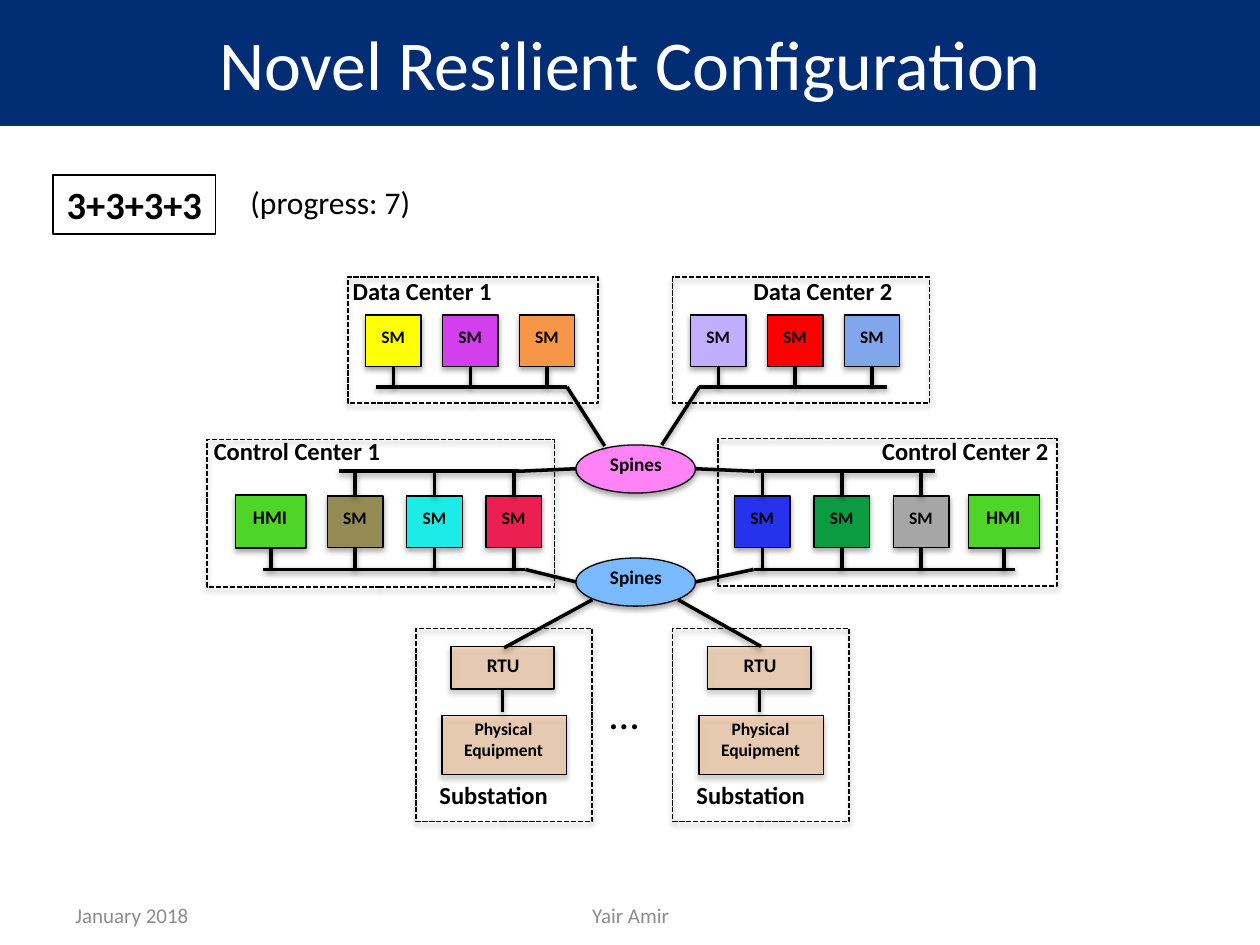
from lxml import etree
from pptx import Presentation
from pptx.dml.color import RGBColor
from pptx.enum.dml import MSO_LINE
from pptx.enum.shapes import MSO_CONNECTOR, MSO_SHAPE
from pptx.enum.text import MSO_ANCHOR, PP_ALIGN
from pptx.oxml import parse_xml
from pptx.oxml.ns import qn
from pptx.util import Cm, Pt

NAVY = RGBColor(0x00, 0x2D, 0x73)
WHITE = RGBColor(0xFF, 0xFF, 0xFF)
BLACK = RGBColor(0x00, 0x00, 0x00)
GRAY = RGBColor(0x8C, 0x8C, 0x8C)
TAN = RGBColor(0xFA, 0xC0, 0x90)
HMI_GREEN = RGBColor(0x4F, 0xD5, 0x28)
SPINES_PINK = RGBColor(0xFF, 0x83, 0xF7)
SPINES_BLUE = RGBColor(0x79, 0xBA, 0xFF)
YELLOW = RGBColor(0xFF, 0xFF, 0x00)
PURPLE = RGBColor(0xD3, 0x3F, 0xEC)
ORANGE = RGBColor(0xF7, 0x96, 0x46)
LILAC = RGBColor(0xC2, 0xAE, 0xFF)
RED = RGBColor(0xFF, 0x00, 0x00)
SKY = RGBColor(0x82, 0xA6, 0xEC)
OLIVE = RGBColor(0x94, 0x8A, 0x54)
CYAN = RGBColor(0x1B, 0xEC, 0xE8)
CRIMSON = RGBColor(0xEC, 0x1F, 0x52)
BLUE = RGBColor(0x25, 0x33, 0xEC)
GREEN = RGBColor(0x0B, 0x9C, 0x42)
SILVER = RGBColor(0xA6, 0xA6, 0xA6)

FONT = "Calibri"
LEFT, CENTER, RIGHT = PP_ALIGN.LEFT, PP_ALIGN.CENTER, PP_ALIGN.RIGHT
A_NS = "http://schemas.openxmlformats.org/drawingml/2006/main"
SM_W, SM_H = 1.12, 1.04
HMI_W, HMI_H = 1.42, 1.07
SPINES_X, SPINES_W, SPINES_H = 11.61, 2.41, 0.97


def cm(*values):
    return [Cm(v) for v in values]


def add_shadow(s, dist, alpha):
    """Drop a soft black shadow straight down; alpha is in percent."""
    s._element.spPr.append(parse_xml(
        f'<a:effectLst xmlns:a="{A_NS}"><a:outerShdw blurRad="40000" dist="{dist}" '
        f'dir="5400000" rotWithShape="0"><a:srgbClr val="000000">'
        f'<a:alpha val="{alpha * 1000}"/></a:srgbClr></a:outerShdw></a:effectLst>'))


def format_text(tf, text, size, color=BLACK, bold=False, align=LEFT):
    tf.text = text
    for p in tf.paragraphs:
        p.alignment = align
        for r in p.runs:
            r.font.name, r.font.size = FONT, Pt(size)
            r.font.bold, r.font.color.rgb = bold, color


def add_label(slide, box, text, size, color=BLACK, bold=True, align=CENTER,
              wrap=True, anchor=MSO_ANCHOR.TOP):
    tb = slide.shapes.add_textbox(*cm(*box))
    tf = tb.text_frame
    tf.word_wrap, tf.vertical_anchor = wrap, anchor
    format_text(tf, text, size, color, bold, align)
    return tb


def add_box(slide, box, fill, alpha=None, kind=MSO_SHAPE.RECTANGLE):
    sp = slide.shapes.add_shape(kind, *cm(*box))
    sp.fill.solid()
    sp.fill.fore_color.rgb = fill
    if alpha:
        clr = sp._element.spPr.find(qn("a:solidFill"))[0]
        etree.SubElement(clr, qn("a:alpha")).set("val", str(alpha * 1000))
    sp.line.color.rgb, sp.line.width = BLACK, Pt(0.75)
    add_shadow(sp, 23000, 35)


def add_frame(slide, box):
    sp = slide.shapes.add_shape(MSO_SHAPE.RECTANGLE, *cm(*box))
    sp.fill.background()
    sp.line.color.rgb, sp.line.width = BLACK, Pt(1)
    sp.line.dash_style = MSO_LINE.SQUARE_DOT
    add_shadow(sp, 23000, 35)


def add_wire(slide, x1, y1, x2, y2):
    c = slide.shapes.add_connector(MSO_CONNECTOR.STRAIGHT, *cm(x1, y1, x2, y2))
    c.line.color.rgb, c.line.width = BLACK, Pt(2)
    add_shadow(c, 20000, 38)


def add_masters(slide, left, top, pitch, colors):
    """Place a row of SM boxes and return their centre positions."""
    xs = [left + i * pitch for i in range(len(colors))]
    for x, color in zip(xs, colors):
        add_box(slide, (x, top, SM_W, SM_H), color)
        add_label(slide, (x - 0.03, top + 0.1, SM_W + 0.05, 0.79), "SM", 10)
    return [x + SM_W / 2 for x in xs]


def add_bus(slide, x1, x2, y, taps, tap_y):
    add_wire(slide, x1, y, x2, y)
    for x in taps:
        add_wire(slide, x, tap_y, x, y)


def add_data_center(slide, name, frame, label_x, left, colors, bus):
    add_frame(slide, frame)
    add_label(slide, (label_x, 5.44, 4.04, 0.99), name, 14, align=LEFT)
    taps = add_masters(slide, left, 6.35, 1.55, colors)
    add_bus(slide, *bus, 7.8, taps, 6.35 + SM_H)


def add_control_center(slide, name, frame, label_x, align, hmi_x, left, colors,
                       upper, lower):
    add_frame(slide, frame)
    add_label(slide, (label_x, 8.66, 5.26, 0.99), name, 14, align=align)
    add_box(slide, (hmi_x, 9.98, HMI_W, HMI_H), HMI_GREEN)
    add_label(slide, (hmi_x - 0.03, 10.07, HMI_W + 0.03, 0.84), "HMI", 11)
    taps = add_masters(slide, left, 10, 1.6, colors)
    add_bus(slide, *upper, 9.5, taps, 10)
    add_bus(slide, *lower, 11.48, taps + [hmi_x + HMI_W / 2], 10 + SM_H)


def add_spines(slide, top, color):
    add_box(slide, (SPINES_X, top, SPINES_W, SPINES_H), color, kind=MSO_SHAPE.OVAL)
    add_label(slide, (SPINES_X + 0.23, top + 0.03, 1.96, 0.84), "Spines", 11)


def add_substation(slide, x):
    add_frame(slide, (x, 12.67, 3.56, 3.89))
    add_label(slide, (x + 0.23, 15.6, 3.61, 0.99), "Substation", 14, align=LEFT)
    add_box(slide, (x + 0.71, 13.03, 2.08, 0.86), TAN, 50)
    add_label(slide, (x + 0.66, 13.04, 2.21, 0.84), "RTU", 11)
    add_box(slide, (x + 0.53, 14.43, 2.51, 1.19), TAN, 50)
    add_label(slide, (x + 0.46, 14.35, 2.62, 1.27), "Physical\nEquipment", 10)
    add_wire(slide, x + 1.75, 14.35, x + 1.75, 13.89)


def add_title(slide, text):
    s = slide.shapes.title
    s.left, s.top, s.width, s.height = cm(0, -0.02, 25.4, 2.56)
    s.fill.solid()
    s.fill.fore_color.rgb = NAVY
    s.text_frame.vertical_anchor = MSO_ANCHOR.MIDDLE
    format_text(s.text_frame, text, 40, WHITE, align=CENTER)


def main():
    prs = Presentation()
    prs.slide_width, prs.slide_height = cm(25.4, 19.05)
    slide = prs.slides.add_slide(prs.slide_layouts[5])
    add_title(slide, "Novel Resilient Configuration")
    for box, text, align in (((1.27, 17.93, 5.92, 1.02), "January 2018", LEFT),
                             ((8.69, 17.93, 8.05, 1.02), "Yair Amir", CENTER)):
        add_label(slide, box, text, 12, GRAY, False, align, anchor=MSO_ANCHOR.MIDDLE)

    for x in (8.38, 13.56):
        add_substation(slide, x)
    add_label(slide, (12.04, 13.74, 1.3, 1.47), "…", 24, bold=False, align=LEFT, wrap=False)

    add_control_center(slide, "Control Center 1", (4.17, 8.86, 7.01, 2.97), 4.06, LEFT,
                       4.75, 6.6, (OLIVE, CYAN, CRIMSON), (6.83, 10.46), (5.31, 10.59))
    add_control_center(slide, "Control Center 2", (14.48, 8.84, 6.83, 2.97), 16.13, RIGHT,
                       19.53, 14.81, (BLUE, GREEN, SILVER), (15.21, 18.85), (15.19, 20.47))
    add_data_center(slide, "Data Center 1", (7.01, 5.59, 5.05, 2.54), 6.86, 7.37,
                    (YELLOW, PURPLE, ORANGE), (7.57, 11.43))
    add_data_center(slide, "Data Center 2", (13.56, 5.59, 5.18, 2.54), 14.94, 13.92,
                    (LILAC, RED, SKY), (14.1, 17.88))

    add_spines(slide, 8.97, SPINES_PINK)
    add_spines(slide, 11.25, SPINES_BLUE)
    for ends in ((11.43, 7.8, 12.19, 8.99), (14.1, 7.8, 13.34, 8.97),
                 (10.46, 9.5, 11.61, 9.45), (14.02, 9.45, 15.21, 9.5),
                 (11.61, 11.73, 10.59, 11.48), (15.19, 11.48, 14.02, 11.73),
                 (10.16, 13.06, 11.94, 12.09), (15.34, 13.03, 13.67, 12.09)):
        add_wire(slide, *ends)

    count = add_label(slide, (1.07, 3.53, 3.28, 1.19), "3+3+3+3", 22, wrap=False)
    count.line.color.rgb, count.line.width = BLACK, Pt(0.75)
    add_label(slide, (4.8, 3.56, 3.78, 1.02), "(progress: 7)", 18, bold=False,
              align=LEFT, wrap=False)
    prs.save("out.pptx")


if __name__ == "__main__":
    main()
